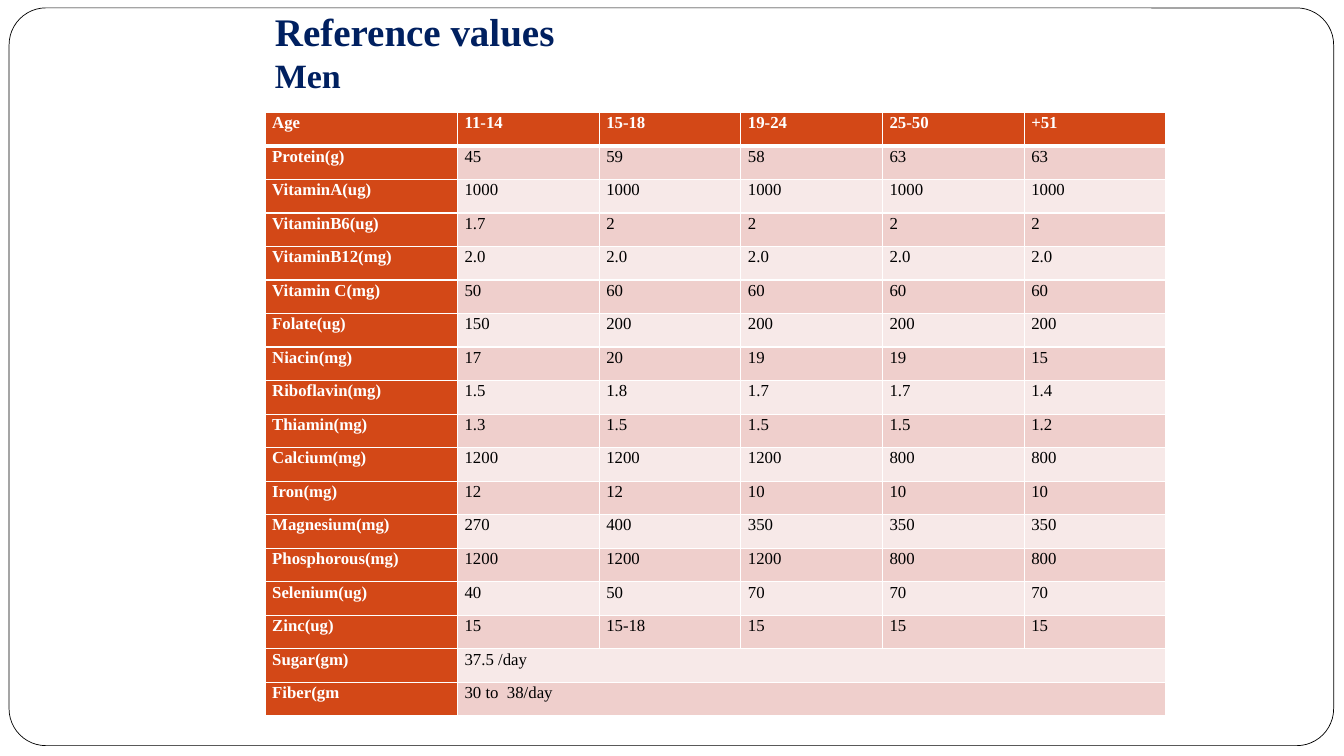
"""Builds a slide with a table of nutrient reference values for men by age."""
from lxml import etree
from pptx import Presentation
from pptx.dml.color import RGBColor
from pptx.enum.shapes import MSO_SHAPE
from pptx.enum.text import MSO_ANCHOR, PP_ALIGN
from pptx.oxml.ns import qn
from pptx.util import Cm, Pt

ROUNDED = MSO_SHAPE.ROUNDED_RECTANGLE
BOTTOM = MSO_ANCHOR.BOTTOM
JUSTIFY = PP_ALIGN.JUSTIFY
FONT = "Times New Roman"
COLORS = {
    "white": "FFFFFF",
    "black": "000000",
    "navy": "002060",
    "header": "D34817",
    "band_dark": "EFCFCC",
    "band_light": "F7E9E8",
}
TITLE_LINES = [("Reference values ", 27.9), ("Men", 24.3)]
ROWS = [
    ["Age", "11-14", "15-18", "19-24", "25-50", "+51"],
    ["Protein(g)", "45", "59", "58", "63", "63"],
    ["VitaminA(ug)", "1000", "1000", "1000", "1000", "1000"],
    ["VitaminB6(ug)", "1.7", "2", "2", "2", "2"],
    ["VitaminB12(mg)", "2.0", "2.0", "2.0", "2.0", "2.0"],
    ["Vitamin C(mg)", "50", "60", "60", "60", "60"],
    ["Folate(ug)", "150", "200", "200", "200", "200"],
    ["Niacin(mg)", "17", "20", "19", "19", "15"],
    ["Riboflavin(mg)", "1.5", "1.8", "1.7", "1.7", "1.4"],
    ["Thiamin(mg)", "1.3", "1.5", "1.5", "1.5", "1.2"],
    ["Calcium(mg)", "1200", "1200", "1200", "800", "800"],
    ["Iron(mg)", "12", "12", "10", "10", "10"],
    ["Magnesium(mg)", "270", "400", "350", "350", "350"],
    ["Phosphorous(mg)", "1200", "1200", "1200", "800", "800"],
    ["Selenium(ug)", "40", "50", "70", "70", "70"],
    ["Zinc(ug)", "15", "15-18", "15", "15", "15"],
    ["Sugar(gm)", "37.5 /day"],
    ["Fiber(gm", "30 to  38/day"],
]
COL_WIDTHS = [4.85] + [3.57] * 5
CELL_MARGINS = {"margin_left": 0.18, "margin_right": 0.18, "margin_top": 0, "margin_bottom": 0}
TITLE_MARGINS = {"margin_left": 0.25, "margin_right": 0.25, "margin_top": 0.13, "margin_bottom": 0.25}


def add_run(p, text, size, color, bold):
    """Adds a run in the slide's font."""
    r = p.add_run()
    r.text = text
    for name, value in {"name": FONT, "size": Pt(size), "bold": bold}.items():
        setattr(r.font, name, value)
    r.font.color.rgb = RGBColor.from_string(COLORS[color])


def add_borders(cell, widths):
    """Draws white borders of the given widths in points around a cell."""
    tc_pr = cell._tc.get_or_add_tcPr()
    for side, width in widths.items():
        ln = etree.SubElement(tc_pr, qn(f"a:ln{side}"), w=str(Pt(width)))
        fill = etree.SubElement(ln, qn("a:solidFill"))
        etree.SubElement(fill, qn("a:srgbClr"), val=COLORS["white"])


prs = Presentation()
prs.slide_width, prs.slide_height = Cm(33.87), Cm(19.05)
s = prs.slides.add_slide(prs.slide_layouts[6])

frame = s.shapes.add_shape(ROUNDED, Cm(0.23), Cm(0.2), Cm(33.38), Cm(18.59))
frame.adjustments[0] = 0.05
frame.shadow.inherit = False
frame.fill.solid()
frame.fill.fore_color.rgb = RGBColor.from_string(COLORS["white"])
frame.line.color.rgb = RGBColor.from_string(COLORS["black"])
frame.line.width = Pt(0.5)

title = s.shapes.add_textbox(Cm(6.68), Cm(0.48), Cm(25.27), Cm(2.16))
tf = title.text_frame
tf.word_wrap = True
tf.vertical_anchor = BOTTOM
for name, value in TITLE_MARGINS.items():
    setattr(tf, name, Cm(value))
p = tf.paragraphs[0]
for i, (text, size) in enumerate(TITLE_LINES):
    if i:
        p.add_line_break()
    add_run(p, text, size, "navy", True)

table = s.shapes.add_table(
    len(ROWS), len(COL_WIDTHS), Cm(6.68), Cm(2.83), Cm(sum(COL_WIDTHS)), Cm(15.21)
).table
table.first_col = True
for column, width in zip(table.columns, COL_WIDTHS):
    column.width = Cm(width)

for i, row in enumerate(ROWS):
    if len(row) < len(COL_WIDTHS):
        table.cell(i, 1).merge(table.cell(i, len(COL_WIDTHS) - 1))
    for j in range(len(COL_WIDTHS)):
        cell = table.cell(i, j)
        heading = i == 0 or j == 0
        band = "band_dark" if i % 2 else "band_light"
        add_borders(cell, {"L": 1, "R": 1, "T": 3 if i == 1 else 1, "B": 3 if i == 0 else 1})
        cell.fill.solid()
        cell.fill.fore_color.rgb = RGBColor.from_string(COLORS["header" if heading else band])
        for name, value in CELL_MARGINS.items():
            setattr(cell, name, Cm(value))
        if j < len(row):
            p = cell.text_frame.paragraphs[0]
            p.alignment = JUSTIFY
            p.line_spacing = 1.07
            add_run(p, row[j], 12, "white" if heading else "black", heading)

prs.save("out.pptx")
